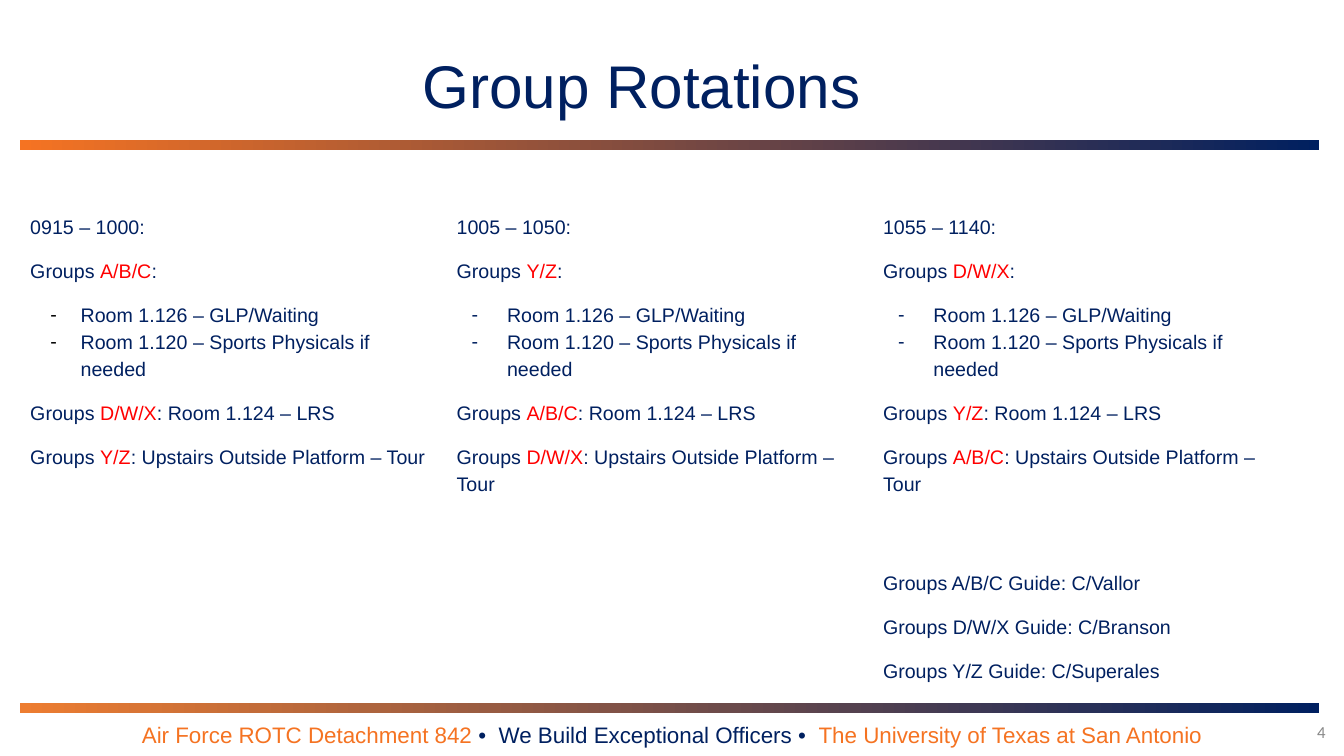
"""Build the Group Rotations slide with three timed columns of group assignments."""
import dataclasses
import typing

import lxml.etree
import pptx
import pptx.dml.color
import pptx.enum.shapes
import pptx.enum.text
import pptx.oxml.ns
import pptx.util

ALIGN = pptx.enum.text.PP_ALIGN
ANCHOR = pptx.enum.text.MSO_ANCHOR


@dataclasses.dataclass(frozen=True)
class Theme:
    navy: str = "002060"
    orange: str = "F57322"
    amber: str = "ED7D31"
    red: str = "FF0000"
    black: str = "000000"
    gray: str = "888888"
    font: str = "Arial"
    number_font: str = "Calibri"
    title_size: int = 43
    footer_size: int = 16
    body_size: int = 14
    number_size: int = 12
    line_spacing: float = 1.15
    gap: int = 12
    guide_gap: int = 52


THEME = Theme()


class Area(typing.NamedTuple):
    column: float
    row: float
    columns: float
    rows: float


class Span(typing.NamedTuple):
    text: str
    color: str = THEME.navy


@dataclasses.dataclass(frozen=True)
class Line:
    spans: tuple[Span, ...]
    before: int = THEME.gap
    dashed: bool = False


@dataclasses.dataclass(frozen=True)
class Rotation:
    time: str
    waiting: str
    briefing: str
    touring: str
    dash_color: str = THEME.navy
    dash_hang: float = 0.35
    guides: tuple[str, ...] = ()


ROTATIONS = (
    Rotation("0915 – 1000:", "A/B/C", "D/W/X", "Y/Z", THEME.black, 0.3),
    Rotation("1005 – 1050:", "Y/Z", "A/B/C", "D/W/X"),
    Rotation("1055 – 1140:", "D/W/X", "Y/Z", "A/B/C", guides=(
        "Groups A/B/C Guide: C/Vallor",
        "Groups D/W/X Guide: C/Branson",
        "Groups Y/Z Guide: C/Superales",
    )),
)
FOOTER = (
    Span("Air Force ROTC Detachment 842 ", THEME.orange),
    Span("•  We Build Exceptional Officers •  "),
    Span("The University of Texas at San Antonio", THEME.orange),
)
GRID_STEP = 0.1
SLIDE_COLUMNS, SLIDE_ROWS = 133.33, 75
BARS = ((13.9, THEME.orange), (69.7, THEME.amber))
MARGIN, COLUMN_WIDTH, BODY_TOP, BODY_ROWS = 2, 42.3, 20.5, 49.1


def grid(steps: float) -> int:
    return pptx.util.Inches(steps * GRID_STEP)


def rgb(color: str) -> pptx.dml.color.RGBColor:
    return pptx.dml.color.RGBColor.from_string(color)


def place(box, area: Area) -> None:
    box.left, box.top, box.width, box.height = (grid(steps) for steps in area)


def prepare_frame(box, anchor=ANCHOR.TOP):
    frame = box.text_frame
    frame.word_wrap = True
    frame.auto_size = pptx.enum.text.MSO_AUTO_SIZE.NONE
    frame.vertical_anchor = anchor
    return frame


def add_spans(para, spans: tuple[Span, ...], size: int, font: str = THEME.font) -> None:
    for span in spans:
        run = para.add_run()
        run.text = span.text
        run.font.name = font
        run.font.size = pptx.util.Pt(size)
        run.font.bold = False
        run.font.color.rgb = rgb(span.color)


def set_bullet(para, dashed: bool, color: str, hang: float) -> None:
    properties = para._p.get_or_add_pPr()
    properties.set("marL", str(pptx.util.Inches(0.5 if dashed else 0)))
    properties.set("indent", str(pptx.util.Inches(-hang if dashed else 0)))
    name = pptx.oxml.ns.qn
    if not dashed:
        lxml.etree.SubElement(properties, name("a:buNone"))
        return
    tint = lxml.etree.SubElement(properties, name("a:buClr"))
    lxml.etree.SubElement(tint, name("a:srgbClr"), val=color)
    lxml.etree.SubElement(properties, name("a:buFont"), typeface=THEME.font)
    lxml.etree.SubElement(properties, name("a:buChar"), char="-")


def group_line(group: str, task: str) -> Line:
    return Line((Span("Groups "), Span(group, THEME.red), Span(task)))


def rotation_lines(rotation: Rotation) -> list[Line]:
    lines = [
        Line((Span(rotation.time),), before=0),
        group_line(rotation.waiting, ":"),
        Line((Span("Room 1.126 – GLP/Waiting"),), dashed=True),
        Line((Span("Room 1.120 – Sports Physicals if needed"),), 0, True),
        group_line(rotation.briefing, ": Room 1.124 – LRS"),
        group_line(rotation.touring, ": Upstairs Outside Platform – Tour"),
    ]
    for index, guide in enumerate(rotation.guides):
        lines.append(Line((Span(guide),), THEME.gap if index else THEME.guide_gap))
    return lines


def fill_rotation(box, rotation: Rotation, area: Area) -> None:
    place(box, area)
    frame = prepare_frame(box)
    for index, line in enumerate(rotation_lines(rotation)):
        para = frame.add_paragraph() if index else frame.paragraphs[0]
        set_bullet(para, line.dashed, rotation.dash_color, rotation.dash_hang)
        para.alignment = ALIGN.LEFT
        para.line_spacing = THEME.line_spacing
        para.space_before = pptx.util.Pt(line.before)
        para.space_after = pptx.util.Pt(0)
        add_spans(para, line.spans, THEME.body_size)


def add_bar(page, row: float, start: str) -> None:
    area = Area(MARGIN, row, 128.9, 1)
    bar = page.shapes.add_shape(
        pptx.enum.shapes.MSO_SHAPE.RECTANGLE, *(grid(steps) for steps in area))
    bar.shadow.inherit = False
    bar.line.fill.background()
    bar.fill.gradient()
    bar.fill.gradient_angle = 0
    for stop, color in zip(bar.fill.gradient_stops, (start, THEME.navy)):
        stop.color.rgb = rgb(color)


def add_label(page, area: Area, spans: tuple[Span, ...], size: int,
              font: str, align, anchor) -> None:
    box = page.shapes.add_textbox(*(grid(steps) for steps in area))
    para = prepare_frame(box, anchor).paragraphs[0]
    para.alignment = align
    add_spans(para, spans, size, font)


def main() -> None:
    deck = pptx.Presentation()
    deck.slide_width, deck.slide_height = grid(SLIDE_COLUMNS), grid(SLIDE_ROWS)
    page = deck.slides.add_slide(deck.slide_layouts.get_by_name("Comparison"))
    title, *bodies = list(page.placeholders)
    place(title, Area(17.4, 4.3, 94.1, 8.4))
    heading = prepare_frame(title).paragraphs[0]
    heading.alignment = ALIGN.CENTER
    add_spans(heading, (Span("Group Rotations "),), THEME.title_size)
    for row, start in BARS:
        add_bar(page, row, start)
    for index, (box, rotation) in enumerate(zip(bodies, ROTATIONS)):
        left = MARGIN + index * COLUMN_WIDTH
        fill_rotation(box, rotation, Area(left, BODY_TOP, COLUMN_WIDTH, BODY_ROWS))
    for spare in bodies[len(ROTATIONS):]:
        spare.element.getparent().remove(spare.element)
    add_label(page, Area(0, 71, SLIDE_COLUMNS, 3.7), FOOTER, THEME.footer_size,
              THEME.font, ALIGN.CENTER, ANCHOR.BOTTOM)
    add_label(page, Area(116.4, 70.6, 16.1, 4), (Span("4", THEME.gray),),
              THEME.number_size, THEME.number_font, ALIGN.RIGHT, ANCHOR.MIDDLE)
    deck.save("out.pptx")


if __name__ == "__main__":
    main()
